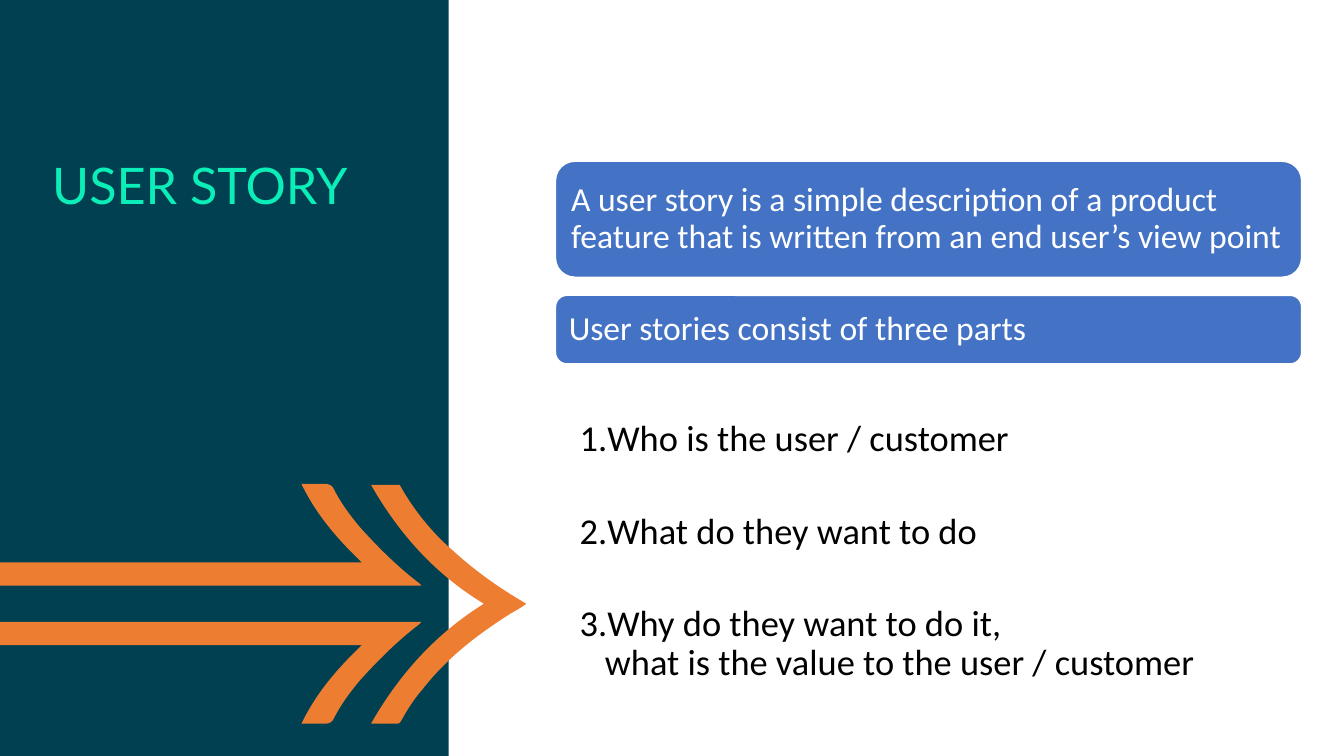
"""Build the user story slide."""
from lxml import etree
from pptx import Presentation
from pptx.dml.color import RGBColor
from pptx.enum.shapes import MSO_SHAPE
from pptx.enum.text import MSO_ANCHOR, PP_ALIGN
from pptx.oxml.ns import qn
from pptx.util import Inches, Pt

TEAL = RGBColor(0x00, 0x40, 0x50)
ORANGE = RGBColor(0xED, 0x7D, 0x31)
MINT = RGBColor(0x0B, 0xEE, 0xB7)
BLUE = RGBColor(0x44, 0x72, 0xC4)
WHITE = RGBColor(0xFF, 0xFF, 0xFF)
BLACK = RGBColor(0x00, 0x00, 0x00)
RECTANGLE = MSO_SHAPE.RECTANGLE
ROUNDED = MSO_SHAPE.ROUNDED_RECTANGLE
MIDDLE = MSO_ANCHOR.MIDDLE
TOP = MSO_ANCHOR.TOP
LEFT = PP_ALIGN.LEFT

PARTS = [
    "Who is the user / customer",
    "What do they want to do",
    "Why do they want to do it, \nwhat is the value to the user / customer",
]
ARROW_HEIGHT = 2.38
TAIL = [
    [(4.18, 1.01)], [(-0.62, 1.01)], [(-0.62, 0.78)], [(3.59, 0.78)],
    [(3.35, 0.55), (3.14, 0.31), (2.99, 0)], [(3.23, 0)],
    [(3.26, 0), (3.3, 0.02), (3.31, 0.05)],
    [(3.38, 0.19), (3.47, 0.31), (3.57, 0.43)],
    [(3.75, 0.63), (3.94, 0.82), (4.15, 0.98)],
]
CHEVRON = [
    [(4.8, 1.19)], [(4.32, 0.9), (3.96, 0.5), (3.68, 0.01)], [(3.94, 0.01)],
    [(3.96, 0.01), (3.97, 0.01), (3.97, 0.02)],
    [(4.11, 0.27), (4.29, 0.49), (4.5, 0.67)],
    [(4.72, 0.87), (4.96, 1.04), (5.22, 1.19)],
    [(5.17, 1.23), (5.11, 1.26), (5.06, 1.29)],
    [(4.73, 1.5), (4.43, 1.73), (4.19, 2.04)],
    [(4.11, 2.13), (4.04, 2.24), (3.98, 2.35)],
    [(3.97, 2.37), (3.96, 2.38), (3.94, 2.38)], [(3.68, 2.38)],
    [(3.96, 1.89), (4.32, 1.49), (4.8, 1.19)],
]


def set_values(target, values):
    """Set every attribute named in values on target."""
    for name, value in values.items():
        setattr(target, name, value)


def paint(shape, color):
    """Fill a shape with one colour, without outline or shadow."""
    shape.shadow.inherit = False
    shape.fill.solid()
    shape.fill.fore_color.rgb = color
    shape.line.fill.background()


def write(shape, texts, font, size, color, frame_values, paragraph_values):
    """Write one formatted paragraph per text into a shape."""
    frame = shape.text_frame
    set_values(frame, {"word_wrap": True, **frame_values})
    for index, text in enumerate(texts):
        paragraph = frame.add_paragraph() if index else frame.paragraphs[0]
        paragraph.text = text
        set_values(paragraph, {"alignment": LEFT, **paragraph_values})
        for run in paragraph.runs:
            set_values(run.font, {"name": font, "size": Pt(size)})
            run.font.color.rgb = color


def number(paragraph):
    """Give a paragraph an automatic number and a hanging indent."""
    properties = paragraph._p.get_or_add_pPr()
    properties.set("marL", str(Inches(0.25)))
    properties.set("indent", str(-Inches(0.25)))
    etree.SubElement(properties, qn("a:buAutoNum"), type="arabicPeriod")


def add_outline(slide, left, top, segments):
    """Draw an outline in which a segment of three points is a cubic curve."""
    points = [(Inches(left + x), Inches(top + y)) for segment in segments for x, y in segment]
    builder = slide.shapes.build_freeform(*points[0])
    builder.add_line_segments(points[1:], close=True)
    shape = builder.convert_to_shape()
    lines = iter(list(shape._element.iter(qn("a:lnTo"))))
    for segment in segments[1:]:
        first, *others = [next(lines) for _ in segment]
        if others:
            first.tag = qn("a:cubicBezTo")
            for line in others:
                first.append(line[0])
                line.getparent().remove(line)
    paint(shape, ORANGE)


def add_arrow(slide, left, top):
    """Draw the two mirrored tails and the chevron of the arrow."""
    lower_tail = [[(x, ARROW_HEIGHT - y) for x, y in segment] for segment in TAIL]
    for segments in (TAIL, CHEVRON, lower_tail):
        add_outline(slide, left, top, segments)


def add_title_panel(slide, left, top, width, height):
    """Draw the dark side panel with the title and the arrow."""
    panel = slide.shapes.add_shape(
        RECTANGLE, Inches(left), Inches(top), Inches(width), Inches(height))
    paint(panel, TEAL)
    add_arrow(slide, left, top + 4.8)
    title = slide.shapes.add_textbox(
        Inches(left + 0.42), Inches(top + 1.48), Inches(3.77), Inches(3.01))
    write(title, ["USER STORY"], "Lato", 36, MINT, {"vertical_anchor": TOP}, {})


def add_banner(slide, text, left, top, width, height):
    """Draw a rounded blue banner with its text."""
    banner = slide.shapes.add_shape(
        ROUNDED, Inches(left), Inches(top), Inches(width), Inches(height))
    paint(banner, BLUE)
    banner.line.color.rgb = WHITE
    banner.line.width = Pt(1)
    margins = {f"margin_{side}": Inches(0.1) for side in ("left", "top", "right", "bottom")}
    write(banner, [text], "Calibri", 24, WHITE,
          {"vertical_anchor": MIDDLE, **margins}, {"line_spacing": 0.9})


def add_story(slide, left, top, width):
    """Stack the two banners and the numbered parts of a user story."""
    add_banner(slide, "A user story is a simple description of a product feature "
               "that is written from an end user’s view point", left, top, width, 1.15)
    add_banner(slide, "User stories consist of three parts", left, top + 1.33, width, 0.68)
    parts = slide.shapes.add_textbox(
        Inches(left), Inches(top + 2.01), Inches(width), Inches(3.34))
    write(parts, PARTS, "Calibri", 26, BLACK,
          {"margin_left": Inches(0.24), "margin_right": Inches(0.26),
           "margin_top": Inches(0.56)},
          {"line_spacing": 0.9, "space_after": Pt(38)})
    for paragraph in parts.text_frame.paragraphs:
        number(paragraph)


def main():
    """Create the presentation and save it."""
    presentation = Presentation()
    set_values(presentation, {"slide_width": Inches(13.33), "slide_height": Inches(7.5)})
    slide = presentation.slides.add_slide(presentation.slide_layouts[6])
    add_title_panel(slide, 0, 0, 4.45, 7.5)
    add_story(slide, 5.51, 1.6, 7.4)
    presentation.save("out.pptx")


if __name__ == "__main__":
    main()
